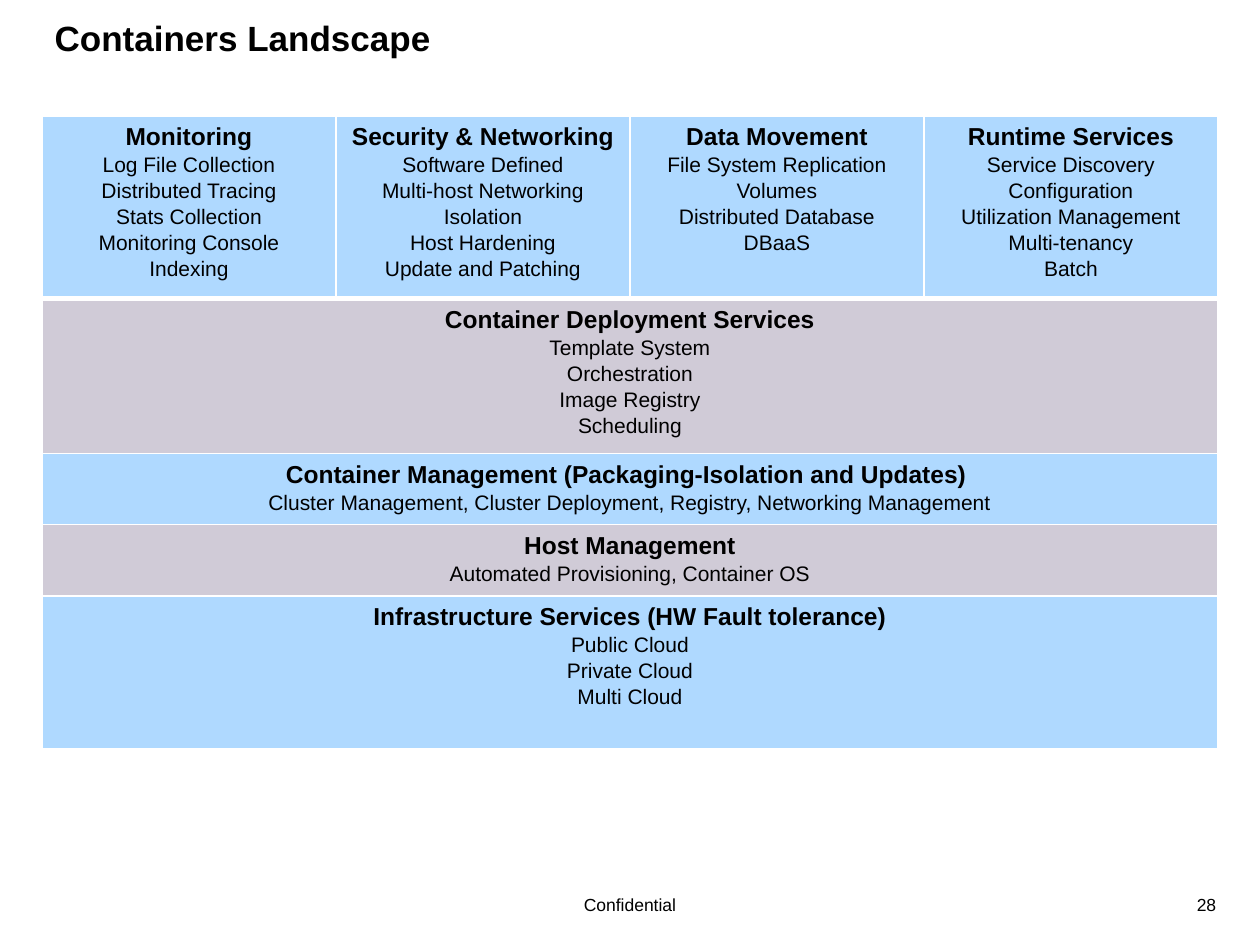
from lxml import etree
from pptx import Presentation
from pptx import util as u
from pptx.dml.color import RGBColor
from pptx.enum import text
from pptx.oxml.ns import qn

HEX = {"ink": "000000", "line": "FFFFFF", "blue": "AFD9FF", "grey": "D0CBD7"}
FONT = "Arial"
ALIGN = text.PP_ALIGN

tops = [
    ["Monitoring", "Log File Collection", "Distributed Tracing", "Stats Collection",
     "Monitoring Console", "Indexing"],
    ["Security & Networking", "Software Defined", "Multi-host Networking", "Isolation",
     "Host Hardening", "Update and Patching"],
    ["Data Movement", "File System Replication", "Volumes", "Distributed Database", "DBaaS"],
    ["Runtime Services", "Service Discovery", "Configuration", "Utilization Management",
     "Multi-tenancy", "Batch"],
]
bands = [
    ["Container Deployment Services", "Template System", "Orchestration", "Image Registry",
     "Scheduling"],
    ["Container Management (Packaging-Isolation and Updates) ",
     "Cluster Management, Cluster Deployment, Registry, Networking Management"],
    ["Host Management", "Automated Provisioning, Container OS"],
    ["Infrastructure Services (HW Fault tolerance)", "Public Cloud", "Private Cloud",
     "Multi Cloud"],
]
heights = [1.42, 1.18, 0.54, 0.54, 1.21]


def style(para, size, bold, align):
    para.alignment = align
    font = para.font
    font.name, font.size, font.bold = FONT, u.Pt(size), bold
    font.color.rgb = RGBColor.from_string(HEX["ink"])


def edge(cell, widths):
    props = cell._tc.get_or_add_tcPr()
    for side, width in zip("LRTB", widths):
        line = etree.SubElement(props, qn(f"a:ln{side}"), w=str(u.Pt(width)))
        fill = etree.SubElement(line, qn("a:solidFill"))
        etree.SubElement(fill, qn("a:srgbClr"), val=HEX["line"])


deck = Presentation()
deck.slide_width, deck.slide_height = u.Inches(10), u.Inches(7.5)
wide, high = deck.slide_width, deck.slide_height
slide = deck.slides.add_slide(deck.slide_layouts[5])
left, span = wide // 30, wide * 28 // 30

title = slide.shapes.title
title.left, title.top, title.width, title.height = left, u.Inches(0.08), span, u.Inches(0.77)
title.text_frame.text = "Containers Landscape"
title.text_frame.vertical_anchor = text.MSO_ANCHOR.TOP
style(title.text_frame.paragraphs[0], 20, True, ALIGN.LEFT)

for words, x, width, align in [("28", 0.93, 0.045, ALIGN.RIGHT),
                               ("Confidential", 0.2, 0.6, ALIGN.CENTER)]:
    box = slide.shapes.add_textbox(int(wide * x), int(high * 0.94),
                                   int(wide * width), u.Inches(0.27))
    box.text_frame.word_wrap = True
    box.text_frame.text = words
    style(box.text_frame.paragraphs[0], 10, False, align)

cols = len(tops)
grid = slide.shapes.add_table(len(heights), cols, left, u.Inches(0.92), span,
                              u.Inches(sum(heights))).table
for col in grid.columns:
    col.width = span // cols
for row, height in zip(grid.rows, heights):
    row.height = u.Inches(height)

for r in range(len(heights)):
    for c in range(cols):
        cell = grid.cell(r, c)
        edge(cell, (1, 1, 3 if r == 1 else 1, 3 if r == 0 else 1))
        cell.fill.solid()
        cell.fill.fore_color.rgb = RGBColor.from_string(HEX["grey" if r % 2 else "blue"])
        if r and c:
            continue
        if r:
            cell.merge(grid.cell(r, cols - 1))
        cell.text = "\n".join(bands[r - 1] if r else tops[c])
        for i, para in enumerate(cell.text_frame.paragraphs):
            style(para, 12 if i else 14, i == 0, ALIGN.CENTER)
            para.line_spacing = 1.05
            para.space_before = u.Pt(0.8)

deck.save("out.pptx")
